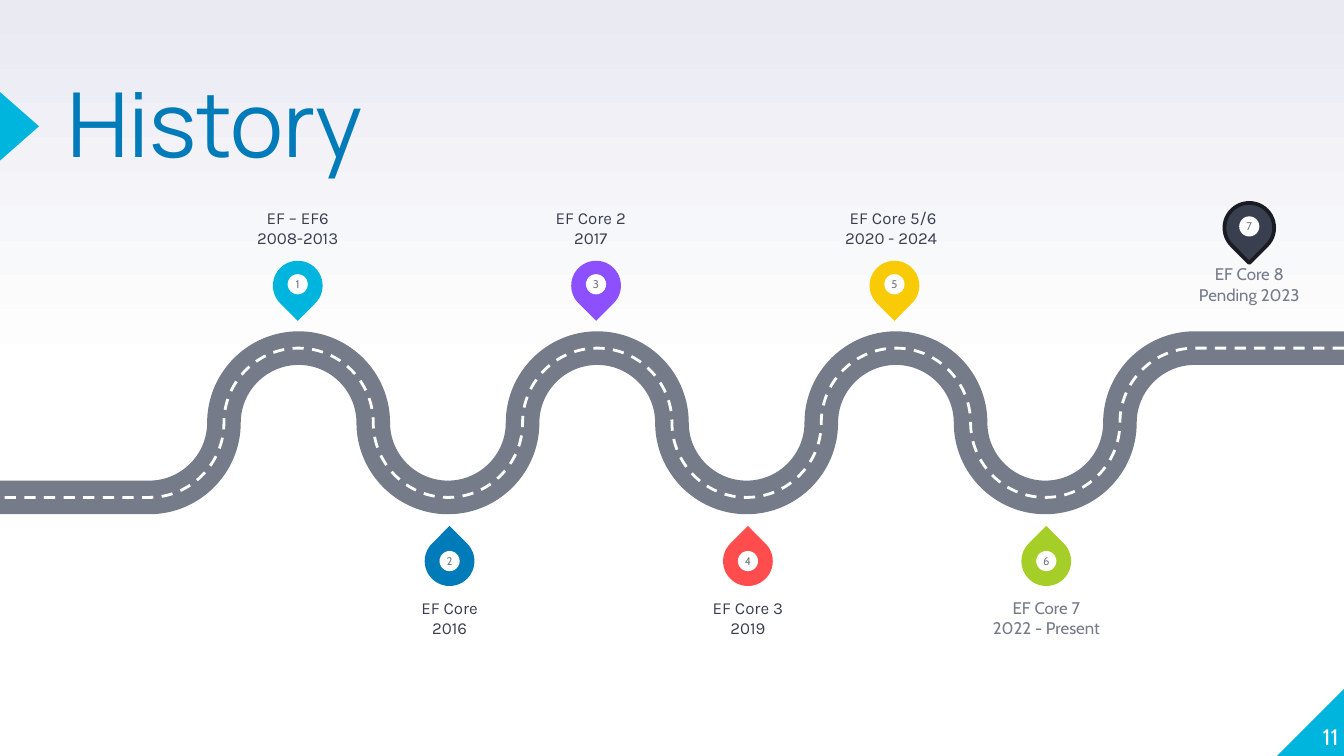
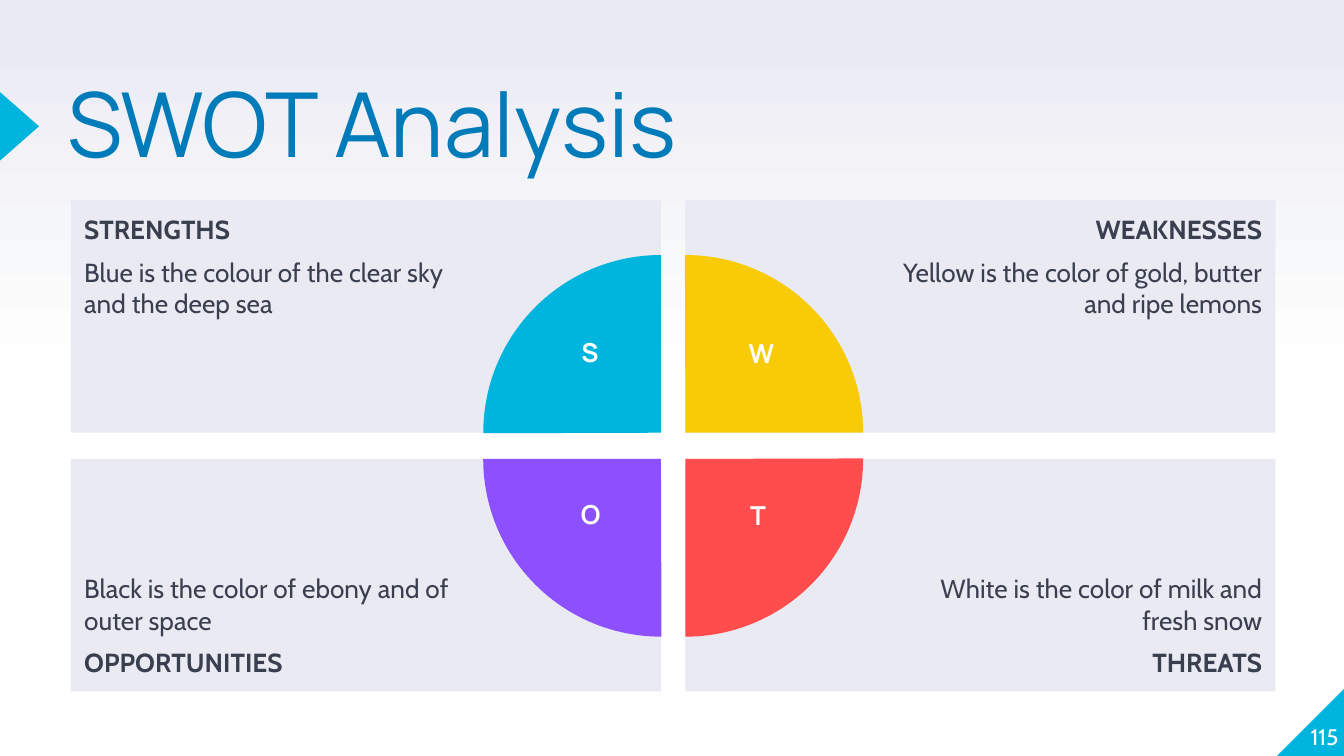
from copy import deepcopy
from dataclasses import dataclass
from math import cos, pi

from lxml import etree
from pptx import Presentation
from pptx.dml.color import RGBColor
from pptx.enum.dml import MSO_LINE
from pptx.enum.shapes import MSO_SHAPE as Preset
from pptx.enum.text import MSO_ANCHOR as Anchor, PP_ALIGN as Align
from pptx.oxml.ns import qn
from pptx.util import Inches, Pt

SLIDE_WIDTH, SLIDE_HEIGHT = Inches(10), Inches(5.625)
CELL = SLIDE_WIDTH // 100  # square grid: 100 columns, 56.25 rows


@dataclass(frozen=True)
class Theme:
    white: str = "FFFFFF"
    mist: str = "E9EAF2"
    gray: str = "757B89"
    ink: str = "3A3F50"
    night: str = "191C23"
    cyan: str = "00B5DD"
    blue: str = "007BB9"
    purple: str = "8C50FF"
    yellow: str = "F9CB07"
    red: str = "FF4D4D"
    green: str = "A6CE28"


THEME = Theme()
FONTS = {
    "title": {"name": "Manrope", "size": Pt(48)},
    "page": {"name": "Cabin", "size": Pt(12)},
    "pin": {"name": "Cabin", "size": Pt(6)},
    "label": {"name": "Karla", "size": Pt(9)},
    "late label": {"name": "Cabin", "size": Pt(9)},
    "panel": {"name": "Cabin", "size": Pt(14)},
    "letter": {"name": "Manrope", "size": Pt(14), "bold": True},
}

# Road: nine columns wide, curving in quarter circles around its middle line
ROAD_COLUMN = 100 / 9
ROAD_RADIUS = ROAD_COLUMN / 2
ROAD_MIDDLE = 31.46
ROAD_QUARTERS = 14
CURVE_HANDLE = 0.55  # Bézier handle of a quarter circle, as a share of its radius
PIN_STEP = 22.2


@dataclass(frozen=True)
class Milestone:
    name: str
    years: str
    color: str
    label_shift: float = 0


MILESTONES = [
    Milestone("EF – EF6", "2008-2013", THEME.cyan),
    Milestone("EF Core", "2016", THEME.blue),
    Milestone("EF Core 2", "2017", THEME.purple, -0.4),
    Milestone("EF Core 3", "2019", THEME.red),
    Milestone("EF Core 5/6", "2020 - 2024 ", THEME.yellow, -0.1),
    Milestone("EF Core 7", "2022 - Present", THEME.green),
    Milestone("EF Core 8", "Pending 2023", THEME.ink),
]


@dataclass(frozen=True)
class Quadrant:
    letter: str
    letter_box: tuple
    heading: str
    text: str
    color: str


# Clockwise from the top left
QUADRANTS = [
    Quadrant("S", (42, 24.5, 3.8, 4.9), "STRENGTHS",
             "Blue is the colour of the clear sky and the deep sea", THEME.cyan),
    Quadrant("W", (53.1, 24.6, 7.1, 4.8), "WEAKNESSES",
             "Yellow is the color of gold, butter and ripe lemons", THEME.yellow),
    Quadrant("T", (54.4, 36.7, 4, 4.8), "THREATS",
             "White is the color of milk and fresh snow", THEME.red),
    Quadrant("O", (41.6, 36.6, 4.7, 4.9), "OPPORTUNITIES",
             "Black is the color of ebony and of outer space", THEME.purple),
]
PANEL_WIDTH, PANEL_HEIGHT = 43.9, 17.3
PANEL_LEFTS, PANEL_TOPS = (5.28, 51), (14.9, 34.15)
PIE_RADIUS = 13.22


def cells(*values):
    return [round(value * CELL) for value in values]


def set_format(target, values):
    for name, value in values.items():
        setattr(target, name, value)


def write(shape, lines, style, color, align=Align.LEFT, anchor=Anchor.TOP, margins=(0, 0, 0, 0)):
    """Fill a shape with one paragraph per line; margins are left, top, right, bottom."""
    left, top, right, bottom = cells(*margins)
    frame = shape.text_frame
    set_format(frame, {
        "word_wrap": True, "vertical_anchor": anchor,
        "margin_left": left, "margin_top": top,
        "margin_right": right, "margin_bottom": bottom,
    })
    for index, line in enumerate(lines):
        paragraph = frame.add_paragraph() if index else frame.paragraphs[0]
        paragraph.alignment = align
        run = paragraph.add_run()
        run.text = line
        set_format(run.font, FONTS[style])
        run.font.color.rgb = RGBColor.from_string(color)
    return frame


def add_text(shapes, box, lines, style, color, **layout):
    return write(shapes.add_textbox(*cells(*box)), lines, style, color, **layout)


def add_preset(shapes, preset, box, color, rotation=0):
    shape = shapes.add_shape(preset, *cells(*box))
    shape.shadow.inherit = False
    shape.fill.solid()
    shape.fill.fore_color.rgb = RGBColor.from_string(color)
    shape.line.fill.background()
    shape.rotation = rotation
    return shape


def set_line(shape, color, width):
    shape.line.color.rgb = RGBColor.from_string(color)
    shape.line.width = Pt(width)


def around(x, y, size):
    return x - size / 2, y - size / 2, size, size


def paint_background(master):
    """White up to the middle of the page, then fading to mist at the top."""
    fill = master.background.fill
    fill.gradient()
    fill.gradient_angle = 90
    stop_list = master.element.find(".//" + qn("a:gsLst"))
    stop_list.insert(1, deepcopy(stop_list[0]))
    stops = ((0, THEME.white), (0.5, THEME.white), (1, THEME.mist))
    for stop, (position, color) in zip(fill.gradient_stops, stops):
        stop.position = position
        stop.color.rgb = RGBColor.from_string(color)


def add_page(presentation, title, number):
    slide = presentation.slides.add_slide(presentation.slide_layouts[6])
    shapes = slide.shapes
    add_preset(shapes, Preset.RIGHT_TRIANGLE, (95, 51.15, 5.1, 5.1), THEME.cyan, 270)
    add_preset(shapes, Preset.ISOSCELES_TRIANGLE, (-1.1, 7.95, 5.1, 2.9), THEME.cyan, 90)
    frame = add_text(shapes, (5, 6.6, 61.7, 11.8), [title], "title", THEME.blue)
    frame.paragraphs[0].line_spacing = 0.8
    add_text(shapes, (94.6, 50.7, 5, 5.1), [str(number)], "page", THEME.white,
             align=Align.RIGHT, anchor=Anchor.BOTTOM)
    return shapes


def road_points():
    """Right edge, the ends of the quarter circles, left edge."""
    bends = [((8 * ROAD_COLUMN - index * ROAD_RADIUS),
              ROAD_MIDDLE - ROAD_RADIUS * cos(pi * index / 2))
             for index in range(ROAD_QUARTERS + 1)]
    return [(100, bends[0][1]), *bends, (0, bends[-1][1])]


def round_quarter(start, line, level):
    """Turn a line element into a quarter circle that leaves its start level or upright."""
    end = line[0]
    x, y = int(start.get("x")), int(start.get("y"))
    end_x, end_y = int(end.get("x")), int(end.get("y"))
    run, rise = CURVE_HANDLE * (end_x - x), CURVE_HANDLE * (end_y - y)
    handles = [(x + run, y), (end_x, end_y - rise)] if level else [(x, y + rise), (end_x - run, end_y)]
    line.tag = qn("a:cubicBezTo")
    for index, (handle_x, handle_y) in enumerate(handles):
        point = etree.Element(qn("a:pt"), x=str(round(handle_x)), y=str(round(handle_y)))
        line.insert(index, point)


def add_road(shapes, color, width):
    start, *others = [cells(*point) for point in road_points()]
    builder = shapes.build_freeform(*start)
    builder.add_line_segments(others, close=False)
    road = builder.convert_to_shape()
    road.shadow.inherit = False
    road.fill.background()
    set_line(road, color, width)
    lines = road.element.findall(".//" + qn("a:lnTo"))
    for index in range(1, ROAD_QUARTERS + 1):
        round_quarter(lines[index - 1][-1], lines[index], level=index % 2 == 1)
    return road


def add_pin(shapes, x, y, number, color, above):
    group = shapes.add_group_shape().shapes
    drop = add_preset(group, Preset.TEAR, around(x, y, 3.7), color, 135 if above else 315)
    hole = add_preset(group, Preset.OVAL, around(x, y - 0.1 * above, 1.5), THEME.white)
    write(hole, [str(number)], "pin", THEME.gray, Align.CENTER, Anchor.MIDDLE)
    return drop


def add_milestone(shapes, number, milestone):
    """Odd pins stand above the road, even ones hang below, the last one stands apart."""
    last = number == len(MILESTONES)
    above = number % 2 == 1
    x = 92.95 if last else (22.15 if above else 33.45) + (number - 1) // 2 * PIN_STEP
    pin_y, label_top = (16.95, 19.65) if last else (21.25, 12.65) if above else (41.75, 44.45)
    pin = add_pin(shapes, x, pin_y, number, milestone.color, above)
    if last:
        set_line(pin, THEME.night, 2)
    late = number >= len(MILESTONES) - 1
    add_text(shapes, (x - 7.05 + milestone.label_shift, label_top, 14.1, 5.8),
             [milestone.name, milestone.years],
             "late label" if late else "label", THEME.gray if late else THEME.ink,
             align=Align.CENTER, anchor=Anchor.BOTTOM if above and not last else Anchor.TOP)


def add_panel(shapes, right, bottom, heading, text):
    box = (PANEL_LEFTS[right], PANEL_TOPS[bottom], PANEL_WIDTH, PANEL_HEIGHT)
    panel = add_preset(shapes, Preset.RECTANGLE, box, THEME.mist)
    frame = write(panel, [text, heading] if bottom else [heading, text], "panel", THEME.ink,
                  Align.RIGHT if right else Align.LEFT,
                  Anchor.BOTTOM if bottom else Anchor.TOP,
                  (15, 1, 1, 1) if right else (1, 1, 15, 1))
    frame.paragraphs[bottom].runs[0].font.bold = True
    set_format(frame.paragraphs[1], {"space_before": Pt(6), "space_after": Pt(6)})


def add_quarter(shapes, right, bottom, color, rotation):
    """Quarter disc centred on the inner corner of its panel."""
    x = PANEL_LEFTS[right] + (0 if right else PANEL_WIDTH)
    y = PANEL_TOPS[bottom] + (0 if bottom else PANEL_HEIGHT)
    pie = add_preset(shapes, Preset.PIE, around(x, y, 2 * PIE_RADIUS), color, rotation)
    pie.adjustments[0], pie.adjustments[1] = 107.89, 162


def build_history(presentation):
    shapes = add_page(presentation, "History", 11)
    add_road(shapes, THEME.gray, 18)
    add_road(shapes, THEME.white, 1.5).line.dash_style = MSO_LINE.DASH
    for number, milestone in enumerate(MILESTONES, 1):
        add_milestone(shapes, number, milestone)


def build_swot(presentation):
    shapes = add_page(presentation, "SWOT Analysis", 115)
    for index, quadrant in enumerate(QUADRANTS):
        right, bottom = index in (1, 2), index >= 2
        add_panel(shapes, right, bottom, quadrant.heading, quadrant.text)
        add_quarter(shapes, right, bottom, quadrant.color, 90 * index)
        add_text(shapes, quadrant.letter_box, [quadrant.letter], "letter", THEME.white,
                 align=Align.CENTER, margins=(1, 0.5, 1, 0.5))


def main():
    presentation = Presentation()
    set_format(presentation, {"slide_width": SLIDE_WIDTH, "slide_height": SLIDE_HEIGHT})
    paint_background(presentation.slide_master)
    build_history(presentation)
    build_swot(presentation)
    presentation.save("out.pptx")


if __name__ == "__main__":
    main()
